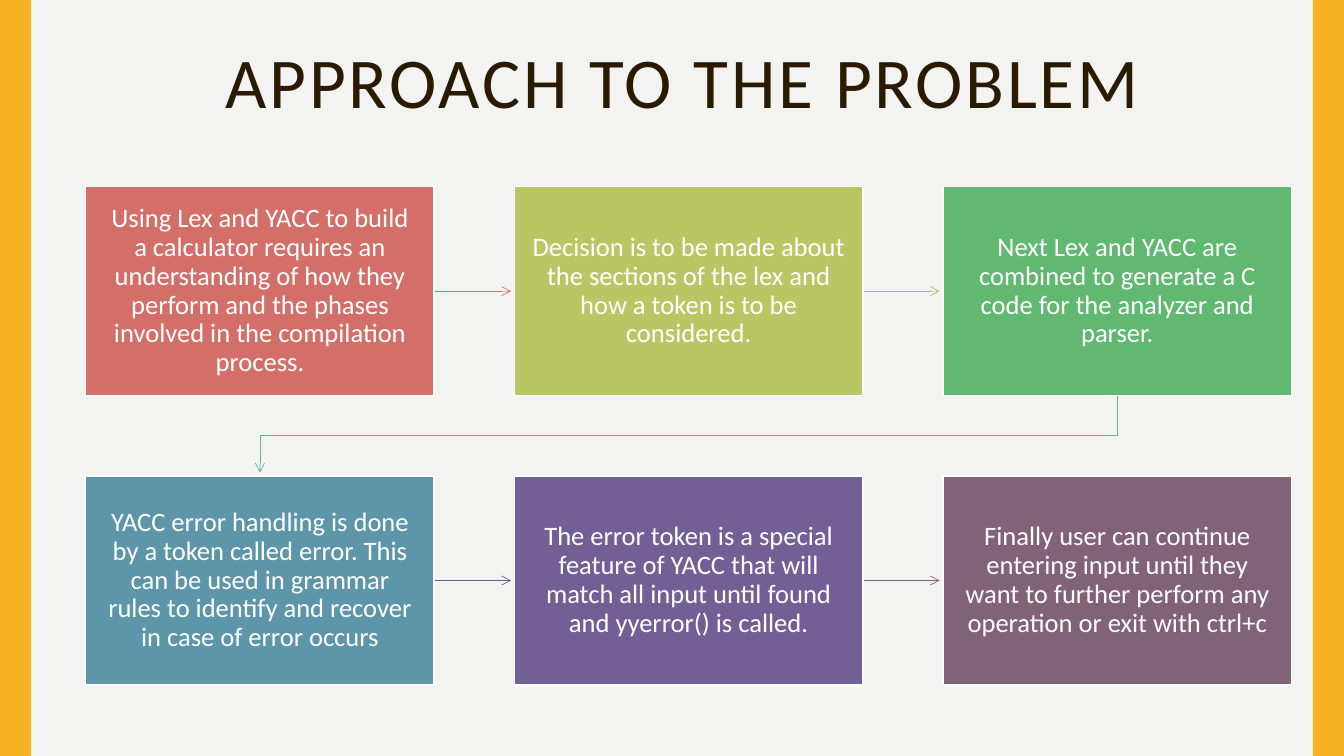
from lxml import etree
from pptx import Presentation
from pptx.dml.color import RGBColor
from pptx.enum import shapes, text
from pptx.oxml import ns
from pptx.util import Pt

FONT = "Calibri"
WIDTH, HEIGHT = 960, 540
BOX_W, BOX_H = 249, 149.5
PITCH_X, PITCH_Y = 306.2, 206.7
COLUMNS = 3

# Each step: box colour, colour of the arrow leaving it, text
STEPS = [
    ("D36F68", "D36F68", "Using Lex and YACC to build a calculator requires an understanding "
     "of how they perform and the phases involved in the compilation process."),
    ("BAC663", "9DC362", "Decision is to be made about the sections of the lex and how a token "
     "is to be considered."),
    ("60B871", "5FB19A", "Next Lex and YACC are combined to generate a C code for the analyzer "
     "and parser."),
    ("5E96A9", "615F9B", "YACC error handling is done by a token called error. This can be used "
     "in grammar rules to identify and recover in case of error occurs"),
    ("715F96", "826276", "The error token is a special feature of YACC that will match all input "
     "until found and yyerror() is called."),
    ("826276", None, "Finally user can continue entering input until they want to further "
     "perform any operation or exit with ctrl+c"),
]


def rgb(value):
    return RGBColor.from_string(value)


def write(tf, content, size, color, anchor, spacing=0, insets=(7.2, 3.6)):
    tf.word_wrap = True
    tf.auto_size = text.MSO_AUTO_SIZE.NONE
    tf.vertical_anchor = anchor
    tf.margin_left = tf.margin_right = Pt(insets[0])
    tf.margin_top = tf.margin_bottom = Pt(insets[1])
    p = tf.paragraphs[0]
    p.alignment = text.PP_ALIGN.CENTER
    p.line_spacing = 0.9
    r = p.add_run()
    r.text = content
    r.font.name, r.font.size = FONT, Pt(size)
    r.font.color.rgb = rgb(color)
    if spacing:
        r.font._element.set("spc", str(spacing * 100))


def add_rect(s, x, y, w, h, fill, line=None):
    sp = s.shapes.add_shape(shapes.MSO_SHAPE.RECTANGLE, Pt(x), Pt(y), Pt(w), Pt(h))
    sp.shadow.inherit = False
    sp.fill.solid()
    sp.fill.fore_color.rgb = rgb(fill)
    if line:
        sp.line.color.rgb = rgb(line)
        sp.line.width = Pt(1)
    else:
        sp.line.fill.background()
    return sp


def add_arrow(s, points, color):
    """Draw a thin open-headed arrow along two or more points."""
    points = [(Pt(x), Pt(y)) for x, y in points]
    if len(points) == 2:
        sp = s.shapes.add_connector(shapes.MSO_CONNECTOR.STRAIGHT, *points[0], *points[1])
    else:
        builder = s.shapes.build_freeform(*points[0])
        builder.add_line_segments(points[1:], close=False)
        sp = builder.convert_to_shape()
        sp.fill.background()
    sp.line.color.rgb = rgb(color)
    sp.line.width = Pt(0.5)
    etree.SubElement(sp.line._get_or_add_ln(), ns.qn("a:tailEnd"), type="arrow")
    etree.SubElement(sp._element.spPr, ns.qn("a:effectLst"))


def add_frame(s):
    s.background.fill.solid()
    s.background.fill.fore_color.rgb = rgb("F3F3F2")
    bar = 22.3
    for x in (0, WIDTH - bar):
        add_rect(s, x, 0, bar, HEIGHT, "F8B323")


def add_title(s, x, y, w, h):
    title = s.shapes.title
    title.left, title.top, title.width, title.height = Pt(x), Pt(y), Pt(w), Pt(h)
    write(title.text_frame, "APPROACH TO THE PROBLEM", 51, "2A1A00",
          text.MSO_ANCHOR.TOP, spacing=2)


def add_flow(s, x, y):
    """Place the steps row by row from the top left corner, joined by arrows."""
    corners = [(x + i % COLUMNS * PITCH_X, y + i // COLUMNS * PITCH_Y)
               for i in range(len(STEPS))]
    head_gap = 2.4
    for i, ((left, top), (fill, arrow, content)) in enumerate(zip(corners, STEPS)):
        if arrow:
            next_left, next_top = corners[i + 1]
            if next_top == top:
                middle = top + BOX_H / 2
                points = [(left + BOX_W, middle), (next_left - head_gap, middle)]
            else:
                start, end = left + BOX_W / 2, next_left + BOX_W / 2
                bottom = top + BOX_H
                turn = (bottom + next_top) / 2
                points = [(start, bottom), (start, turn), (end, turn),
                          (end, next_top - head_gap)]
            add_arrow(s, points, arrow)
        sp = add_rect(s, left, top, BOX_W, BOX_H, fill, line="FFFFFF")
        write(sp.text_frame, content, 19, "FFFFFF", text.MSO_ANCHOR.MIDDLE,
              insets=(12.2, 12.8))


def main():
    prs = Presentation()
    prs.slide_width, prs.slide_height = Pt(WIDTH), Pt(HEIGHT)
    s = prs.slides.add_slide(prs.slide_layouts[5])
    add_frame(s)
    add_title(s, 60.5, 30.2, 854.6, 72.7)
    add_flow(s, 61.2, 133.2)
    prs.save("out.pptx")


if __name__ == "__main__":
    main()
